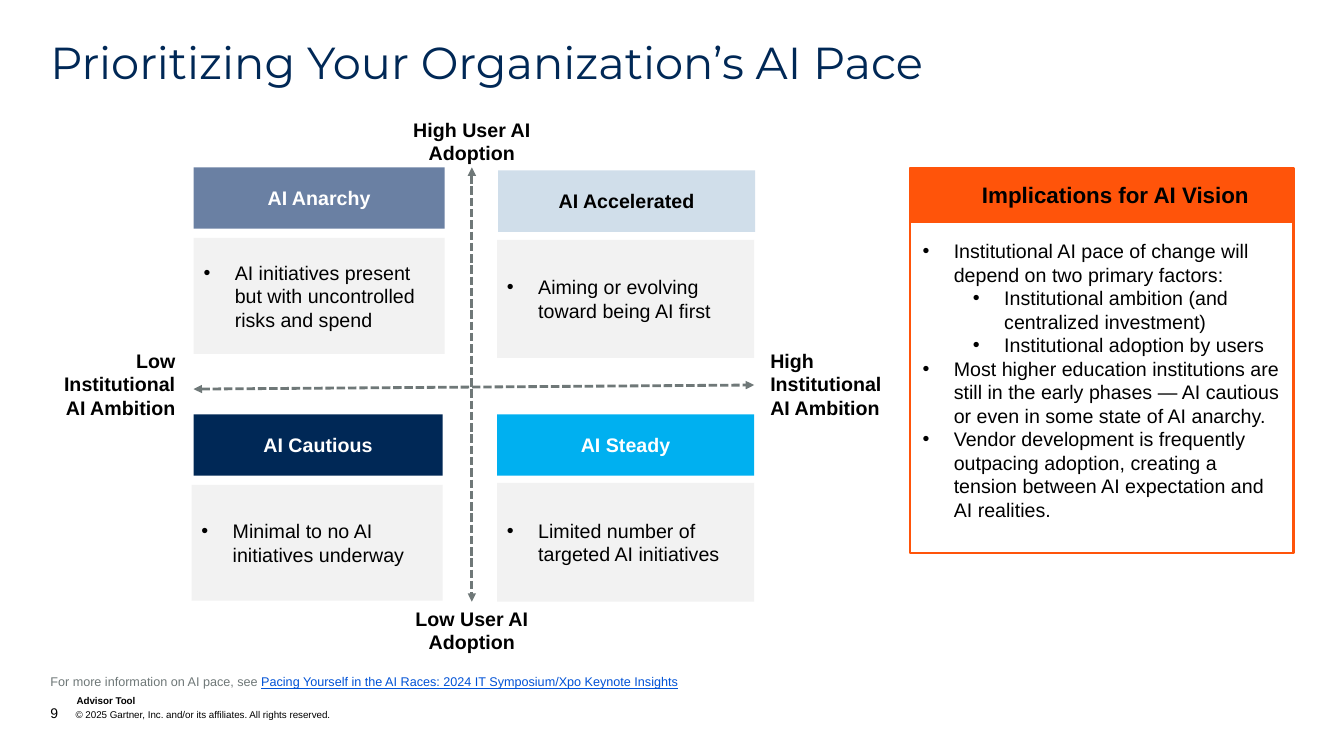
from lxml import etree
from pptx import Presentation
from pptx.dml.color import RGBColor
from pptx.enum import dml, shapes, text
from pptx.oxml import ns
from pptx.util import Inches, Pt

NAVY = RGBColor(0x00, 0x28, 0x56)
SLATE = RGBColor(0x6A, 0x80, 0xA3)
PALE_BLUE = RGBColor(0xD0, 0xDE, 0xEA)
SKY = RGBColor(0x00, 0xB0, 0xF0)
ORANGE = RGBColor(0xFF, 0x54, 0x0A)
GRAY = RGBColor(0x6F, 0x78, 0x78)
PANEL = RGBColor(0xF2, 0xF2, 0xF2)
LINK = RGBColor(0x00, 0x52, 0xD6)
BLACK = RGBColor(0, 0, 0)
WHITE = RGBColor(0xFF, 0xFF, 0xFF)

LEFT, CENTER, RIGHT = text.PP_ALIGN.LEFT, text.PP_ALIGN.CENTER, text.PP_ALIGN.RIGHT
TOP, MIDDLE, BOTTOM = (text.MSO_ANCHOR.TOP, text.MSO_ANCHOR.MIDDLE,
                       text.MSO_ANCHOR.BOTTOM)
HANGING = 0.31

# heading, heading colour, text colour, description, heading box, description box
QUADRANTS = [
    ("AI Anarchy", SLATE, WHITE,
     "AI initiatives present but with uncontrolled risks and spend",
     (1.92, 1.66, 2.49, 0.61), (1.92, 2.36, 2.49, 1.15)),
    ("AI Accelerated", PALE_BLUE, BLACK,
     "Aiming or evolving toward being AI first",
     (4.94, 1.69, 2.55, 0.61), (4.93, 2.38, 2.55, 1.17)),
    ("AI Cautious", NAVY, WHITE,
     "Minimal to no AI initiatives underway",
     (1.92, 4.11, 2.47, 0.61), (1.9, 4.81, 2.49, 1.15)),
    ("AI Steady", SKY, WHITE,
     "Limited number of targeted AI initiatives",
     (4.93, 4.11, 2.55, 0.61), (4.93, 4.79, 2.55, 1.18)),
]
AXIS_LABELS = [
    ("High User AI Adoption", (3.95, 1.12, 1.46, 0.57), CENTER),
    ("Low User AI Adoption", (3.95, 5.97, 1.46, 0.57), CENTER),
    ("Low Institutional AI Ambition", (0.62, 3.41, 1.12, 0.81), RIGHT),
    ("High Institutional AI Ambition", (7.64, 3.41, 1.14, 0.81), LEFT),
]
IMPLICATIONS = [
    (0, "Institutional AI pace of change will depend on two primary factors:"),
    (1, "Institutional ambition (and centralized investment)"),
    (1, "Institutional adoption by users"),
    (0, "Most higher education institutions are still in the early phases — "
        "AI cautious or even in some state of AI anarchy."),
    (0, "Vendor development is frequently outpacing adoption, creating a "
        "tension between AI expectation and AI realities."),
]


def place(shape, box):
    shape.left, shape.top, shape.width, shape.height = map(Inches, box)


def set_frame(frame, insets, anchor=TOP):
    """Insets run left, top, right, bottom."""
    frame.auto_size = text.MSO_AUTO_SIZE.NONE
    frame.word_wrap = True
    frame.vertical_anchor = anchor
    (frame.margin_left, frame.margin_top,
     frame.margin_right, frame.margin_bottom) = map(Inches, insets)


def set_font(font, size, color, bold=False, name="Arial"):
    font.name, font.size, font.bold = name, Pt(size), bold
    font.color.rgb = color


def indent(paragraph, left, hanging):
    properties = paragraph._p.get_or_add_pPr()
    properties.set("marL", str(Inches(left)))
    properties.set("indent", str(-Inches(hanging)))
    return properties


def write_bullet(paragraph, words, level=0):
    paragraph.text, paragraph.level = words, level
    paragraph.alignment = LEFT
    paragraph.space_before = Pt(0)
    properties = indent(paragraph, HANGING + level * 0.5, HANGING)
    etree.SubElement(properties, ns.qn("a:buFont"), typeface="Arial")
    etree.SubElement(properties, ns.qn("a:buChar"), char="•")
    set_font(paragraph.font, 14, BLACK)


def add_label(slide, words, box, size, color=BLACK, bold=False, align=LEFT,
              insets=(0, 0, 0, 0), anchor=TOP):
    label = slide.shapes.add_textbox(*map(Inches, box))
    set_frame(label.text_frame, insets, anchor)
    paragraph = label.text_frame.paragraphs[0]
    paragraph.text, paragraph.alignment = words, align
    set_font(paragraph.font, size, color, bold)
    return paragraph


def add_panel(slide, box, fill=None, outline=None):
    panel = slide.shapes.add_shape(shapes.MSO_SHAPE.RECTANGLE, *map(Inches, box))
    panel.shadow.inherit = False
    if fill is None:
        panel.fill.background()
    else:
        panel.fill.solid()
        panel.fill.fore_color.rgb = fill
    if outline is None:
        panel.line.fill.background()
    else:
        panel.line.color.rgb = outline
        panel.line.width = Pt(1.5)
    return panel


def add_heading(slide, words, box, fill, color, size=14, align=CENTER,
                outline=None, insets=(0.1, 0.05, 0.1, 0.05)):
    heading = add_panel(slide, box, fill, outline)
    set_frame(heading.text_frame, insets, MIDDLE)
    paragraph = heading.text_frame.paragraphs[0]
    paragraph.text, paragraph.alignment = words, align
    set_font(paragraph.font, size, color, bold=True)


def add_quadrant(slide, name, fill, color, description, heading_box, text_box):
    add_heading(slide, name, heading_box, fill, color)
    panel = add_panel(slide, text_box, PANEL)
    set_frame(panel.text_frame, (0.1, 0.05, 0.1, 0.05), MIDDLE)
    write_bullet(panel.text_frame.paragraphs[0], description)


def add_axis(slide, *ends):
    """Dashed line with an arrowhead at both ends."""
    axis = slide.shapes.add_connector(shapes.MSO_CONNECTOR.STRAIGHT,
                                      *map(Inches, ends))
    axis.line.color.rgb = GRAY
    axis.line.width = Pt(2)
    axis.line.dash_style = dml.MSO_LINE.SQUARE_DOT
    outline = axis.line._get_or_add_ln()
    for end in ("a:headEnd", "a:tailEnd"):
        etree.SubElement(outline, ns.qn(end), type="triangle")
    etree.SubElement(axis._element.spPr, ns.qn("a:effectLst"))


def write_title(title):
    place(title, (0.5, 0.4, 12.33, 0.49))
    set_frame(title.text_frame, (0, 0, 0, 0))
    paragraph = title.text_frame.paragraphs[0]
    paragraph.text = "Prioritizing Your Organization’s AI Pace"
    paragraph.alignment, paragraph.line_spacing = LEFT, 0.9
    set_font(paragraph.font, 32, NAVY, name="Montserrat")


def write_implications(slide, body):
    place(body, (9.03, 2.29, 3.8, 2.99))
    set_frame(body.text_frame, (0.12, 0.08, 0.12, 0.08))
    for number, (level, words) in enumerate(IMPLICATIONS):
        paragraph = (body.text_frame.add_paragraph() if number
                     else body.text_frame.paragraphs[0])
        write_bullet(paragraph, words, level)
    add_heading(slide, "Implications for AI Vision", (9.03, 1.67, 3.8, 0.53),
                ORANGE, BLACK, 16, LEFT, ORANGE, (0.71, 0.1, 0.1, 0.1))
    add_panel(slide, (9.03, 2.19, 3.8, 3.3), outline=ORANGE)


def add_footer(slide):
    add_label(slide, "Advisor Tool", (0.76, 6.89, 2.53, 0.12), 7, bold=True,
              anchor=BOTTOM)
    page = add_label(slide, "9", (0.5, 6.99, 7.99, 0.17), 10, anchor=BOTTOM)
    indent(page, 0.25, 0.25)
    rights = page.add_run()
    rights.text = "\t© 2025 Gartner, Inc. and/or its affiliates. All rights reserved."
    rights.font.size = Pt(7)


def add_reference(slide):
    reference = add_label(slide, "For more information on AI pace, see ",
                          (0.5, 6.69, 6.97, 0.2), 9, GRAY)
    source = reference.add_run()
    source.text = ("Pacing Yourself in the AI Races: "
                   "2024 IT Symposium/Xpo Keynote Insights")
    source.font.color.rgb = LINK
    source.font.underline = True


def main():
    deck = Presentation()
    deck.slide_width, deck.slide_height = Inches(13.33), Inches(7.5)
    slide = deck.slides.add_slide(deck.slide_layouts[1])
    write_title(slide.shapes.title)
    write_implications(slide, slide.placeholders[1])
    add_axis(slide, 4.68, 1.66, 4.68, 5.97)
    add_axis(slide, 1.92, 3.86, 7.48, 3.82)
    for words, box, align in AXIS_LABELS:
        add_label(slide, words, box, 14, bold=True, align=align,
                  insets=(0, 0.05, 0, 0.05))
    for quadrant in QUADRANTS:
        add_quadrant(slide, *quadrant)
    add_reference(slide)
    add_footer(slide)
    deck.save("out.pptx")


if __name__ == "__main__":
    main()
